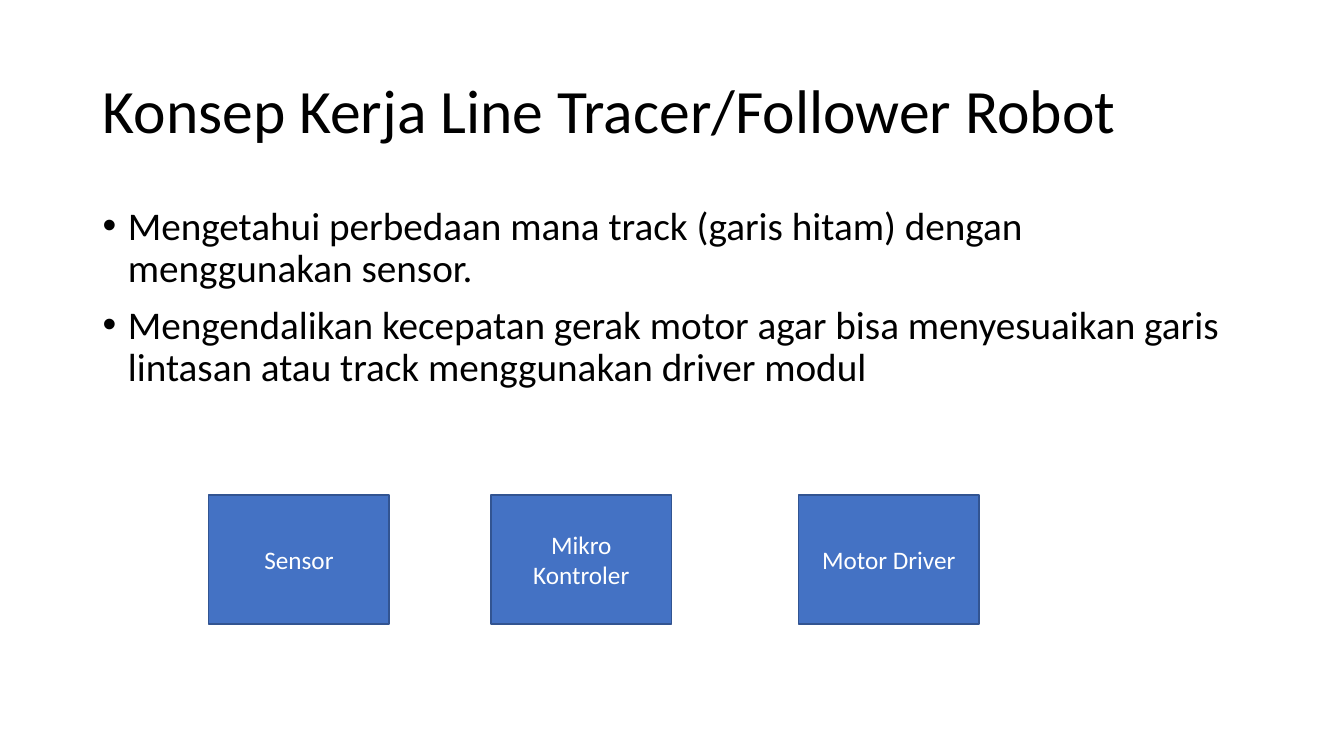
from lxml import etree
from pptx import Presentation
from pptx import util as u
from pptx.dml.color import RGBColor
from pptx.enum import shapes, text
from pptx.oxml.ns import qn

FONT = "Calibri"
TITLE = "Konsep Kerja Line Tracer/Follower Robot"
POINTS = [
    "Mengetahui perbedaan mana track (garis hitam) dengan menggunakan sensor.",
    "Mengendalikan kecepatan gerak motor agar bisa menyesuaikan garis "
    "lintasan atau track menggunakan driver modul",
]
BLOCKS = [("Sensor", 2.07), ("Mikro Kontroler", 4.87), ("Motor Driver", 7.92)]


def color(value):
    """Turn a hex string into a colour."""
    return RGBColor.from_string(value)


def style(paragraph, size, value):
    """Set the font of a paragraph."""
    paragraph.font.name = FONT
    paragraph.font.size = u.Pt(size)
    paragraph.font.color.rgb = color(value)


def add_text_frame(slide, left, top, width, height):
    """Add a wrapping text box and return its text frame."""
    box = slide.shapes.add_textbox(
        u.Inches(left), u.Inches(top), u.Inches(width), u.Inches(height))
    box.text_frame.word_wrap = True
    return box.text_frame


def add_title(slide, left, top, width, height):
    """Place the vertically centred title in its box."""
    frame = add_text_frame(slide, left, top, width, height)
    frame.vertical_anchor = text.MSO_ANCHOR.MIDDLE
    paragraph = frame.paragraphs[0]
    paragraph.text = TITLE
    paragraph.line_spacing = 0.9
    style(paragraph, 44, "000000")


def add_bullets(slide, left, top, width, height):
    """Place the bulleted points in their box."""
    frame = add_text_frame(slide, left, top, width, height)
    for index, point in enumerate(POINTS):
        paragraph = frame.add_paragraph() if index else frame.paragraphs[0]
        paragraph.text = point
        paragraph.line_spacing = 0.9
        paragraph.space_before = u.Pt(10)
        style(paragraph, 28, "000000")
        properties = paragraph._p.get_or_add_pPr()
        properties.set("marL", str(u.Inches(0.25)))
        properties.set("indent", str(-u.Inches(0.25)))
        bullet_font = etree.Element(qn("a:buFont"), typeface="Arial")
        bullet = etree.Element(qn("a:buChar"), char="•")
        defaults = properties.find(qn("a:defRPr"))
        defaults.addprevious(bullet_font)
        defaults.addprevious(bullet)


def add_block(slide, label, left, top, width, height):
    """Place one labelled block of the robot diagram."""
    block = slide.shapes.add_shape(
        shapes.MSO_SHAPE.RECTANGLE,
        u.Inches(left), u.Inches(top), u.Inches(width), u.Inches(height))
    block.shadow.inherit = False
    block.fill.solid()
    block.fill.fore_color.rgb = color("4472C4")
    block.line.color.rgb = color("325491")
    block.line.width = u.Pt(1)
    frame = block.text_frame
    frame.word_wrap = True
    frame.vertical_anchor = text.MSO_ANCHOR.MIDDLE
    paragraph = frame.paragraphs[0]
    paragraph.text = label
    paragraph.alignment = text.PP_ALIGN.CENTER
    style(paragraph, 18, "FFFFFF")


def main():
    """Build and save the slide."""
    presentation = Presentation()
    presentation.slide_width = u.Inches(13.33)
    presentation.slide_height = u.Inches(7.5)
    slide = presentation.slides.add_slide(presentation.slide_layouts[6])
    add_title(slide, 0.92, 0.4, 11.5, 1.45)
    add_bullets(slide, 0.92, 2, 11.5, 4.76)
    for label, left in BLOCKS:
        add_block(slide, label, left, 4.91, 1.79, 1.28)
    presentation.save("out.pptx")


if __name__ == "__main__":
    main()
